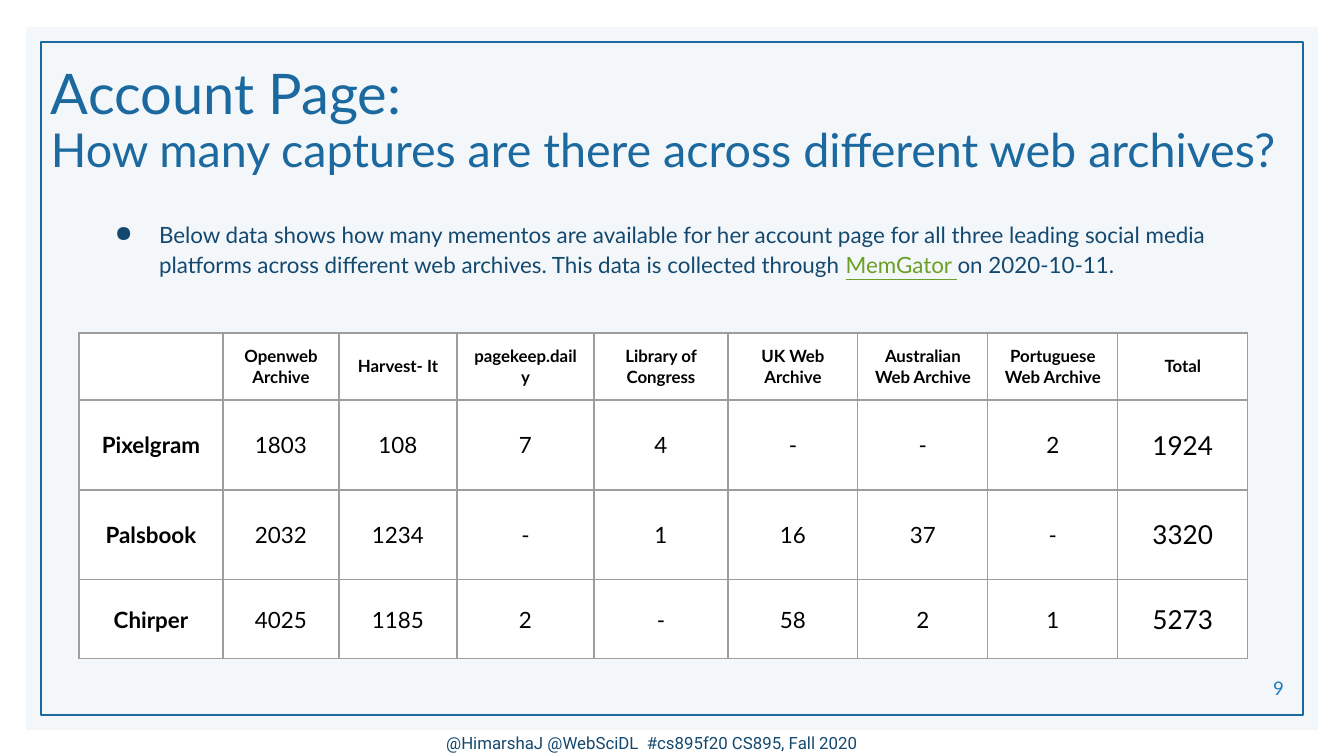
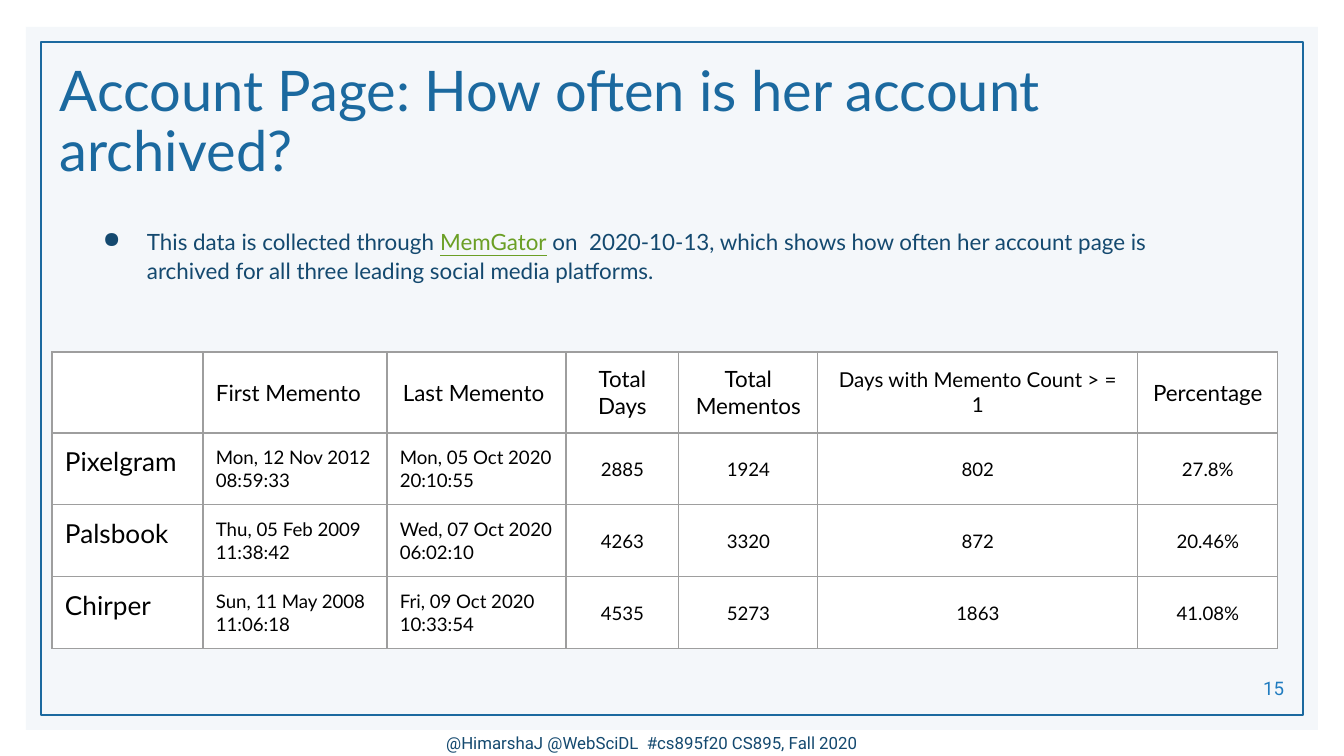
from lxml import etree
from pptx import Presentation
from pptx.dml.color import RGBColor
from pptx.enum.shapes import MSO_SHAPE
from pptx.enum.text import MSO_ANCHOR, PP_ALIGN
from pptx.oxml.ns import qn
from pptx.util import Emu, Pt

RECTANGLE = MSO_SHAPE.RECTANGLE
TOP, MIDDLE, BOTTOM = MSO_ANCHOR.TOP, MSO_ANCHOR.MIDDLE, MSO_ANCHOR.BOTTOM
LEFT, CENTER, RIGHT = PP_ALIGN.LEFT, PP_ALIGN.CENTER, PP_ALIGN.RIGHT

PAGE_WIDTH, PAGE_HEIGHT = 1344, 756
SCALE = 9144000 / PAGE_WIDTH

WHITE, BLACK, GRID = "FFFFFF", "000000", "9E9E9E"
BAND, TITLE, BODY = "D2E1EC", "1B699F", "14496F"
LINK, NUMBER = "6B9F25", "207CC0"
LATO, ROBOTO = "Lato", "Roboto"

BAND_BOX = (26, 27, 1292, 703)
FRAME_BOX = (41, 42, 1262, 673)
FOOTER_BOX = (13, 698, 1255, 58)
NUMBER_BOX = (1173, 645, 120, 59)
TIGHT = (9, 5, 9, 5)
ROOMY = (13, 13, 13, 13)
FOOTER_INSETS = (35, 13, 13, 3)
FOOTER = "@HimarshaJ @WebSciDL  #cs895f20 CS895, Fall 2020"
PLATFORMS = ("Pixelgram", "Palsbook", "Chirper")


def px(length):
    return Emu(round(length * SCALE))


def color(value):
    return RGBColor.from_string(value)


def add_span(para, text, size, tint, font=LATO, bold=False, underline=False):
    span = para.add_run()
    span.text = text
    span.font.size = Pt(size)
    span.font.name = font
    span.font.bold = bold
    span.font.underline = underline
    span.font.color.rgb = color(tint)


def add_text_box(page, box, insets, anchor):
    frame = page.shapes.add_textbox(*map(px, box)).text_frame
    frame.word_wrap = True
    frame.vertical_anchor = anchor
    frame.margin_left, frame.margin_top, frame.margin_right, frame.margin_bottom = map(px, insets)
    return frame


def add_rectangle(page, box):
    rectangle = page.shapes.add_shape(RECTANGLE, *map(px, box))
    rectangle.shadow.inherit = False
    return rectangle


def add_backdrop(page):
    band = add_rectangle(page, BAND_BOX)
    band.fill.solid()
    band.fill.fore_color.rgb = color(BAND)
    band.line.fill.background()
    tint = band.fill._xPr.find(qn("a:solidFill"))[0]
    etree.SubElement(tint, qn("a:alpha"), val="24000")

    frame = add_rectangle(page, FRAME_BOX)
    frame.fill.background()
    frame.line.color.rgb = color(TITLE)
    frame.line.width = Pt(0.75)

    para = add_text_box(page, FOOTER_BOX, FOOTER_INSETS, BOTTOM).paragraphs[0]
    para.alignment = CENTER
    add_span(para, FOOTER, 9, BODY, ROBOTO)


def add_title(page, box, lines):
    frame = add_text_box(page, box, TIGHT, MIDDLE)
    for index, (text, size) in enumerate(lines):
        para = frame.add_paragraph() if index else frame.paragraphs[0]
        para.line_spacing = 0.9
        add_span(para, text, size, TITLE)


def add_page_number(page, number, font):
    para = add_text_box(page, NUMBER_BOX, TIGHT, BOTTOM).paragraphs[0]
    para.alignment = RIGHT
    add_span(para, number, 10, NUMBER, font)


def add_bullet(page, box, before, link, after):
    para = add_text_box(page, box, ROOMY, TOP).paragraphs[0]
    para.line_spacing = 1.1
    properties = para._p.get_or_add_pPr()
    properties.set("marL", str(px(67)))
    properties.set("indent", str(px(-44)))
    bullet_color = etree.SubElement(properties, qn("a:buClr"))
    etree.SubElement(bullet_color, qn("a:srgbClr"), val=BODY)
    etree.SubElement(properties, qn("a:buChar"), char="●")
    add_span(para, before, 12, BODY)
    add_span(para, link, 12, LINK, underline=True)
    add_span(para, after, 12, BODY)


def add_borders(cell):
    properties = cell._tc.get_or_add_tcPr()
    for side in ("a:lnL", "a:lnR", "a:lnT", "a:lnB"):
        line = etree.SubElement(properties, qn(side), w=str(Pt(0.75)))
        fill = etree.SubElement(line, qn("a:solidFill"))
        etree.SubElement(fill, qn("a:srgbClr"), val=GRID)


def add_grid(page, corner, widths, heights, rows, style):
    box = (*corner, sum(widths), sum(heights))
    table = page.shapes.add_table(len(heights), len(widths), *map(px, box)).table
    table.first_row = table.horz_banding = False
    for column, width in zip(table.columns, widths):
        column.width = px(width)
    for row, height in zip(table.rows, heights):
        row.height = px(height)
    for row_index, values in enumerate(rows):
        for column_index, text in enumerate(values):
            cell = table.cell(row_index, column_index)
            add_borders(cell)
            cell.fill.solid()
            cell.fill.fore_color.rgb = color(WHITE)
            cell.margin_left = cell.margin_right = px(13)
            cell.margin_top = cell.margin_bottom = px(13)
            size, bold, alignment, anchor = style(row_index, column_index)
            cell.vertical_anchor = anchor
            para = cell.text_frame.paragraphs[0]
            para.alignment = alignment
            if text:
                add_span(para, text, size, BLACK, bold=bold)


def capture_style(row, column):
    size = 9 if row == 0 else 14 if column == 8 else 12
    return size, row == 0 or column == 0, CENTER, MIDDLE


def frequency_style(row, column):
    if row == 0:
        return 11 if column == 5 else 12, False, LEFT if column == 1 else CENTER, MIDDLE
    if column == 0:
        return 14, False, LEFT, TOP
    return 10, False, LEFT if column < 3 else CENTER, MIDDLE


def with_platforms(header, records):
    return [("", *header)] + [(name, *record) for name, record in zip(PLATFORMS, records)]


def build_captures(page):
    add_backdrop(page)
    add_title(page, (42, 59, 1259, 126), [
        ("Account Page:", 30),
        ("How many captures are there across different web archives?", 25),
    ])
    add_page_number(page, "9", LATO)
    rows = with_platforms(
        ("Openweb Archive", "Harvest- It", "pagekeep.daily", "Library of Congress",
         "UK Web Archive", "Australian Web Archive", "Portuguese Web Archive", "Total"),
        [
            ("1803", "108", "7", "4", "-", "-", "2", "1924"),
            ("2032", "1234", "-", "1", "16", "37", "-", "3320"),
            ("4025", "1185", "2", "-", "58", "2", "1", "5273"),
        ],
    )
    widths = [144, 116, 118, 137, 134] + [130] * 4
    add_grid(page, (79, 333), widths, [67, 90, 90, 79], rows, capture_style)
    add_bullet(
        page, (79, 206, 1169, 153),
        "Below data shows how many mementos are available for her account page for all "
        "three leading social media platforms across different web archives. "
        "This data is collected through ",
        "MemGator ", "on 2020-10-11.",
    )


def build_frequency(page):
    add_backdrop(page)
    add_title(page, (51, 48, 1239, 151), [
        ("Account Page: How often is her account archived?", 30),
    ])
    add_page_number(page, "15", ROBOTO)
    rows = with_platforms(
        ("First Memento", "Last Memento ", "Total Days", "Total Mementos",
         "Days with Memento Count > = 1", "Percentage"),
        [
            ("Mon, 12 Nov 2012 08:59:33", "Mon, 05 Oct 2020 20:10:55",
             "2885", "1924", "802", "27.8%"),
            ("Thu, 05 Feb 2009 11:38:42", "Wed, 07 Oct 2020 06:02:10",
             "4263", "3320", "872", "20.46%"),
            ("Sun, 11 May 2008 11:06:18", "Fri, 09 Oct 2020 10:33:54",
             "4535", "5273", "1863", "41.08%"),
        ],
    )
    widths = [151, 184, 179, 113, 139, 320, 140]
    add_grid(page, (52, 352), widths, [81] + [72] * 3, rows, frequency_style)
    add_bullet(
        page, (67, 212, 1179, 97),
        "This data is collected through ", "MemGator",
        " on  2020-10-13, which shows how often her account page is archived for all "
        "three leading social media platforms.",
    )


def main():
    deck = Presentation()
    deck.slide_width, deck.slide_height = px(PAGE_WIDTH), px(PAGE_HEIGHT)
    for build in (build_captures, build_frequency):
        build(deck.slides.add_slide(deck.slide_layouts[6]))
    deck.save("out.pptx")


if __name__ == "__main__":
    main()
